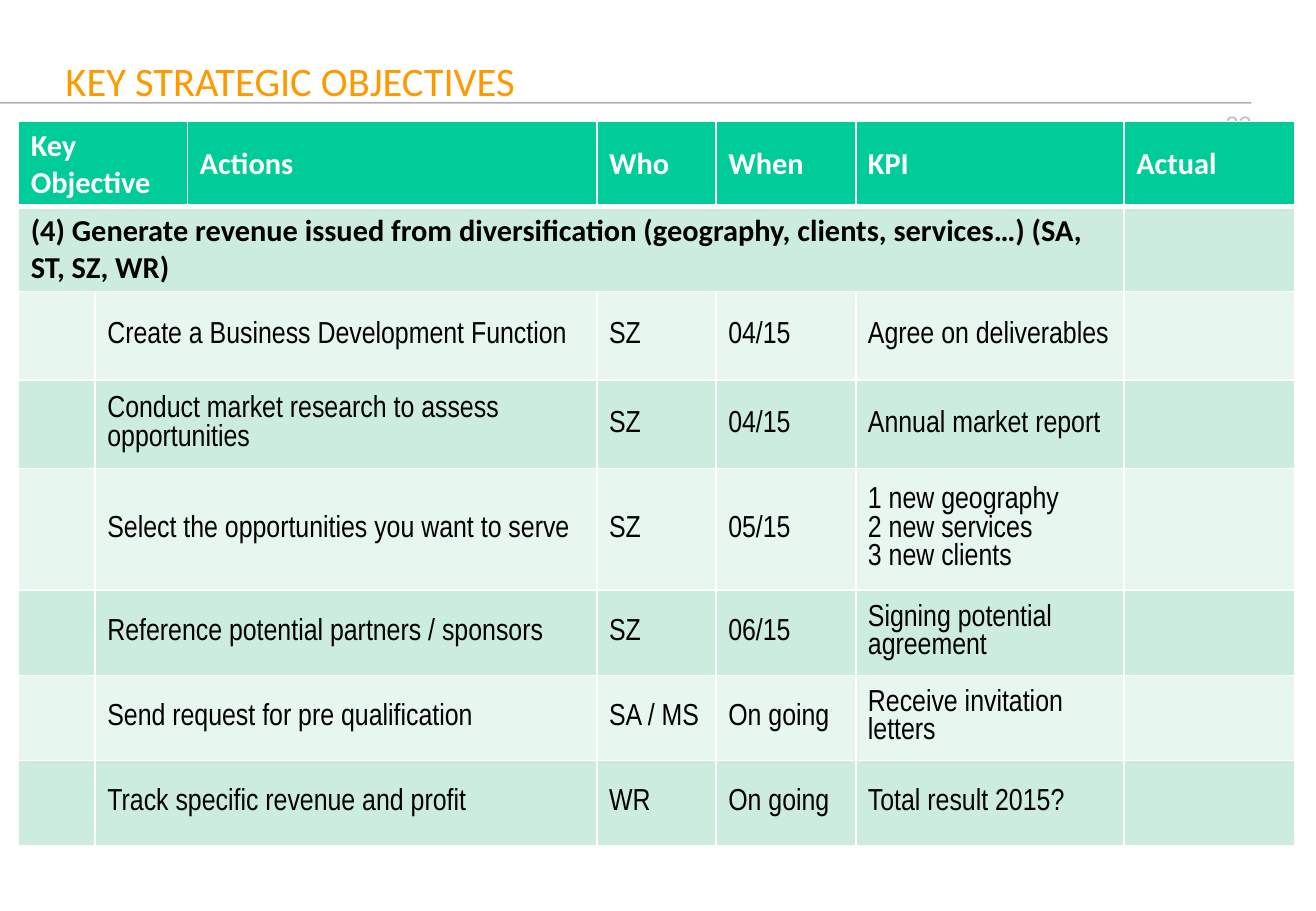
from dataclasses import dataclass

from lxml.etree import SubElement
from pptx import Presentation
from pptx.dml.color import RGBColor
from pptx.enum.shapes import MSO_SHAPE
from pptx.enum.text import MSO_ANCHOR, PP_ALIGN
from pptx.oxml.ns import qn
from pptx.util import Cm, Pt


@dataclass(frozen=True)
class Theme:
    title: str = "FF9900"
    rule: str = "B2B2B2"
    number: str = "C0C0C0"
    head: str = "00CC99"
    dark: str = "CCECDE"
    light: str = "E7F6EF"
    white: str = "FFFFFF"
    black: str = "000000"
    main: str = "Calibri"
    narrow: str = "Arial Narrow"
    plain: str = "Arial"
    large: int = 24
    body: int = 18
    small: int = 14
    thin: int = 1
    thick: int = 3


THEME = Theme()

# Table content
WIDTHS = [1.6, 1.93, 8.56, 2.49, 2.92, 5.61, 3.56]
HEIGHTS = [1.78, 1.78, 1.85, 1.85, 2.54, 1.78, 1.78, 1.78]
HEADS = ["Key Objective", None, "Actions", "Who", "When", "KPI", "Actual"]
GOAL = ("(4) Generate revenue issued from diversification "
        "(geography, clients, services…) (SA, ST, SZ, WR)")
ACTIONS = [
    ("Create a Business Development Function", "SZ", "04/15", "Agree on deliverables"),
    ("Conduct market research to assess opportunities", "SZ", "04/15",
     "Annual market report"),
    ("Select the opportunities you want to serve", "SZ", "05/15",
     "1 new geography\n2 new services\n3 new clients"),
    ("Reference potential partners / sponsors", "SZ", "06/15",
     "Signing potential agreement"),
    ("Send request for pre qualification", "SA / MS", "On going",
     "Receive invitation letters"),
    ("Track specific revenue and profit", "WR", "On going", "Total result 2015?"),
]


def write(frame, text, font=THEME.main, size=THEME.body, color=THEME.black,
          bold=False, align=PP_ALIGN.LEFT):
    """Fill a text frame, one paragraph per line."""
    frame.word_wrap = True
    frame.text = text
    for para in frame.paragraphs:
        para.alignment = align
        for run in para.runs:
            run.font.name = font
            run.font.size = Pt(size)
            run.font.bold = bold
            run.font.color.rgb = RGBColor.from_string(color)


def add_text(slide, box, text, **format):
    shape = slide.shapes.add_textbox(*map(Cm, box))
    write(shape.text_frame, text, **format)


def add_rule(slide, box):
    rule = slide.shapes.add_shape(MSO_SHAPE.RECTANGLE, *map(Cm, box))
    rule.shadow.inherit = False
    rule.fill.solid()
    rule.fill.fore_color.rgb = RGBColor.from_string(THEME.rule)
    rule.line.fill.background()


def set_edges(cell, top, bottom):
    """Draw white borders round a cell."""
    props = cell._tc.get_or_add_tcPr()
    edges = {"lnL": THEME.thin, "lnR": THEME.thin, "lnT": top, "lnB": bottom}
    for tag, width in edges.items():
        line = SubElement(props, qn(f"a:{tag}"), w=str(Pt(width)))
        fill = SubElement(line, qn("a:solidFill"))
        SubElement(fill, qn("a:srgbClr"), val=THEME.white)


def style_cell(cell, row):
    top = THEME.thick if row == 1 else THEME.thin
    bottom = THEME.thick if row == 0 else THEME.thin
    set_edges(cell, top, bottom)
    color = THEME.head if row == 0 else THEME.dark if row % 2 else THEME.light
    cell.fill.solid()
    cell.fill.fore_color.rgb = RGBColor.from_string(color)
    cell.vertical_anchor = MSO_ANCHOR.MIDDLE


def add_grid(slide, left, top):
    frame = slide.shapes.add_table(len(HEIGHTS), len(WIDTHS), Cm(left), Cm(top),
                                   Cm(sum(WIDTHS)), Cm(sum(HEIGHTS)))
    table = frame.table
    table.horz_banding = False
    for column, width in zip(table.columns, WIDTHS):
        column.width = Cm(width)
    for row, height in zip(table.rows, HEIGHTS):
        row.height = Cm(height)
    for row in range(len(HEIGHTS)):
        for col in range(len(WIDTHS)):
            style_cell(table.cell(row, col), row)

    # Header and goal
    table.cell(0, 0).merge(table.cell(0, 1))
    for col, head in enumerate(HEADS):
        if head:
            write(table.cell(0, col).text_frame, head, color=THEME.white, bold=True)
    table.cell(1, 0).merge(table.cell(1, 5))
    write(table.cell(1, 0).text_frame, GOAL, bold=True)

    # Actions
    for row, action in enumerate(ACTIONS, 2):
        table.cell(row, 1).merge(table.cell(row, 2))
        for col, text in zip((1, 3, 4, 5), action):
            write(table.cell(row, col).text_frame, text, font=THEME.narrow)


def main():
    deck = Presentation()
    deck.slide_width, deck.slide_height = Cm(27.51), Cm(19.05)
    slide = deck.slides.add_slide(deck.slide_layouts[6])

    # Heading and page number
    add_rule(slide, (0, 2.13, 26.16, 0.04))
    add_text(slide, (20.5, 2.18, 5.92, 1.32), "23", font=THEME.plain,
             size=THEME.small, color=THEME.number, align=PP_ALIGN.RIGHT)
    add_text(slide, (1.12, 1.04, 17.86, 1.3), "KEY STRATEGIC OBJECTIVES",
             size=THEME.large, color=THEME.title)

    # Plan
    add_grid(slide, 0.39, 2.54)
    deck.save("out.pptx")


if __name__ == "__main__":
    main()
